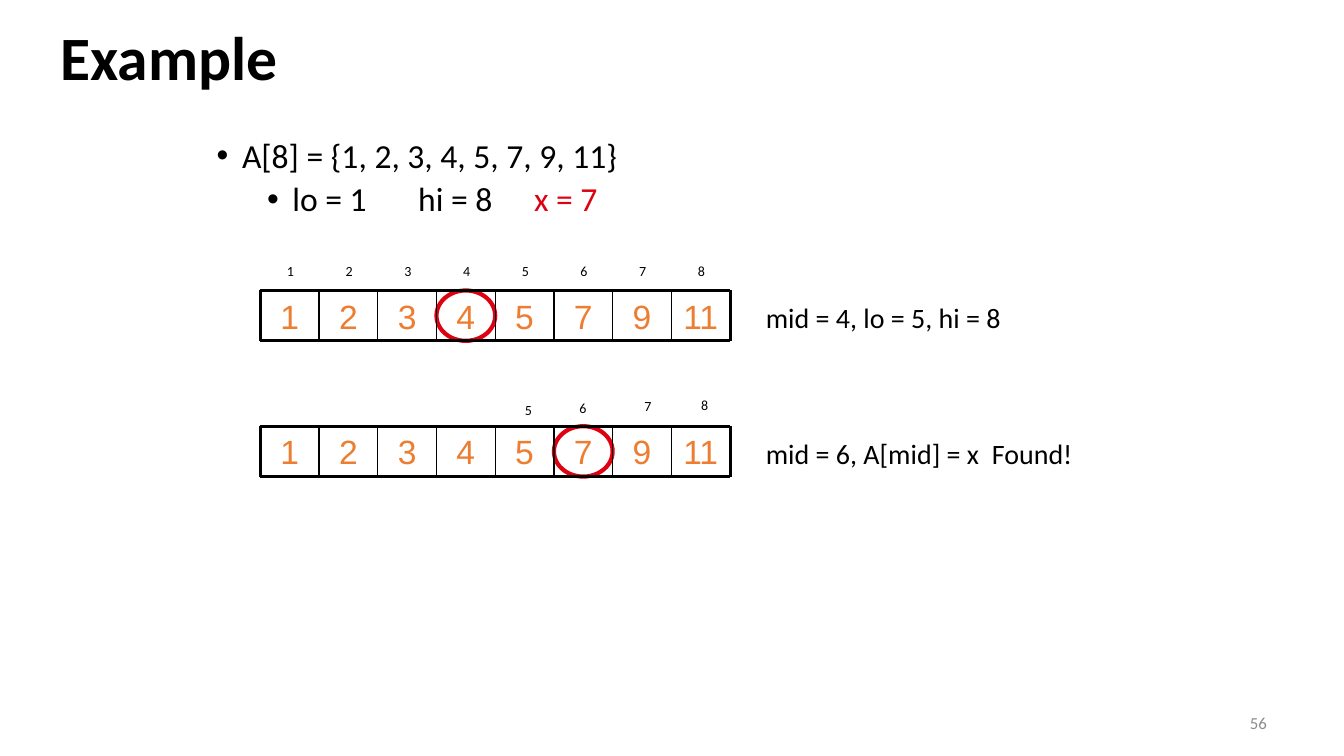
from lxml import etree
from pptx import Presentation
from pptx.dml.color import RGBColor
from pptx.enum import shapes, text
from pptx.oxml import ns
from pptx.util import Cm, Pt

BLACK = RGBColor(0x00, 0x00, 0x00)
GREY = RGBColor(0x8C, 0x8C, 0x8C)
RED = RGBColor(0xDD, 0x01, 0x11)
ORANGE = RGBColor(0xED, 0x7D, 0x31)

VALUES = [1, 2, 3, 4, 5, 7, 9, 11]
CELL_WIDTH, CELL_HEIGHT = 1.48, 1.27
ARRAY_LEFT = 6.56
# Each step: array top, probed index, note, note offset, note width,
# and the (right, down) shift of each index label that is shown
STEPS = [
    (7.32, 4, "mid = 4, lo = 5, hi = 8", 0.13, 7.62,
     {index: (0, 0) for index in range(1, 9)}),
    (10.74, 6, "mid = 6, A[mid] = x  Found!", 0.13, 8.69,
     {5: (0.08, 0.1), 6: (-0.03, 0.03), 7: (0.13, 0), 8: (0.08, -0.03)}),
]


def format_font(font, size, color=BLACK, name="Calibri", bold=False):
    values = {"size": Pt(size), "name": name, "bold": bold}
    for key, value in values.items():
        setattr(font, key, value)
    font.color.rgb = color


def add_text(slide, box, content, size, anchor=text.MSO_ANCHOR.TOP,
             align=text.PP_ALIGN.LEFT, **font_format):
    frame = slide.shapes.add_textbox(*map(Cm, box)).text_frame
    frame.word_wrap = True
    frame.vertical_anchor = anchor
    para = frame.paragraphs[0]
    para.alignment = align
    span = para.add_run()
    span.text = content
    format_font(span.font, size, **font_format)
    return frame


def add_line(slide, start, end, width):
    line = slide.shapes.add_connector(
        shapes.MSO_CONNECTOR.STRAIGHT, *map(Cm, start + end))
    line.line.color.rgb = BLACK
    line.line.width = Pt(width)
    etree.SubElement(line._element.spPr, ns.qn("a:effectLst"))


def add_bullet(para, left, tabs=()):
    properties = para._p.get_or_add_pPr()
    properties.set("marL", str(Cm(left)))
    properties.set("indent", str(-Cm(0.64)))
    etree.SubElement(properties, ns.qn("a:buFont"), typeface="Arial")
    etree.SubElement(properties, ns.qn("a:buChar"), char="•")
    if tabs:
        stops = etree.SubElement(properties, ns.qn("a:tabLst"))
        for stop in tabs:
            etree.SubElement(stops, ns.qn("a:tab"),
                             pos=str(Cm(stop)), algn="l")
    para.line_spacing = 0.9


def place_title(slide, box):
    title = slide.shapes.title
    for key, value in zip(("left", "top", "width", "height"), box):
        setattr(title, key, Cm(value))
    frame = title.text_frame
    frame.text = "Example"
    frame.auto_size = text.MSO_AUTO_SIZE.NONE
    frame.vertical_anchor = text.MSO_ANCHOR.MIDDLE
    para = frame.paragraphs[0]
    para.alignment = text.PP_ALIGN.LEFT
    para.line_spacing = 0.9
    format_font(para.runs[0].font, 44, bold=True)


def add_problem(slide, box):
    frame = add_text(slide, box, "A[8] = {1, 2, 3, 4, 5, 7, 9, 11}", 24)
    add_bullet(frame.paragraphs[0], 0.64)
    bounds = frame.add_paragraph()
    bounds.level = 1
    add_bullet(bounds, 1.91, tabs=(5.08, 8))
    bounds.space_before = Pt(5)
    for content, color in (("lo = 1\thi = 8\t", BLACK), ("x = 7", RED)):
        span = bounds.add_run()
        span.text = content
        format_font(span.font, 24, color)


def add_array(slide, box, probe, shifts):
    left, top, width, height = box
    cell = width / len(VALUES)
    right, bottom = left + width, top + height

    # Ring around the probed cell
    ring = slide.shapes.add_shape(
        shapes.MSO_SHAPE.OVAL,
        *map(Cm, (left + (probe - 1) * cell, top, cell, height)))
    ring.shadow.inherit = False
    ring.fill.background()
    ring.line.color.rgb = RED
    ring.line.width = Pt(3)

    # Values and index labels
    for index, value in enumerate(VALUES, start=1):
        cell_left = left + (index - 1) * cell
        add_text(slide, (cell_left, top, cell, height), str(value), 24,
                 anchor=text.MSO_ANCHOR.MIDDLE, align=text.PP_ALIGN.CENTER,
                 color=ORANGE, name="Arial")
        if index in shifts:
            across, down = shifts[index]
            label_box = (cell_left + 0.42 + across, top - 0.84 + down,
                         0.64, 0.69)
            add_text(slide, label_box, str(index), 10)

    # Frame and dividers
    for y in (top, bottom):
        add_line(slide, (left, y), (right, y), 2.25)
    for edge in range(len(VALUES) + 1):
        x = left + edge * cell
        add_line(slide, (x, top), (x, bottom),
                 2.25 if edge in (0, len(VALUES)) else 1)


def build_example(slide):
    place_title(slide, (1.27, 0.28, 30.48, 2.51))
    add_problem(slide, (5.21, 3.38, 22.94, 3.84))
    for top, probe, note, drop, note_width, shifts in STEPS:
        array_width = CELL_WIDTH * len(VALUES)
        add_array(slide, (ARRAY_LEFT, top, array_width, CELL_HEIGHT),
                  probe, shifts)
        add_text(slide, (19.05, top + drop, note_width, 1.1), note, 20)
    # Slide number
    add_text(slide, (24.28, 17.78, 7.9, 0.89), "56", 12,
             anchor=text.MSO_ANCHOR.MIDDLE, align=text.PP_ALIGN.RIGHT,
             color=GREY)


def main():
    deck = Presentation()
    deck.slide_width, deck.slide_height = Cm(33.87), Cm(19.05)
    build_example(deck.slides.add_slide(deck.slide_layouts[5]))
    deck.save("out.pptx")


if __name__ == "__main__":
    main()
